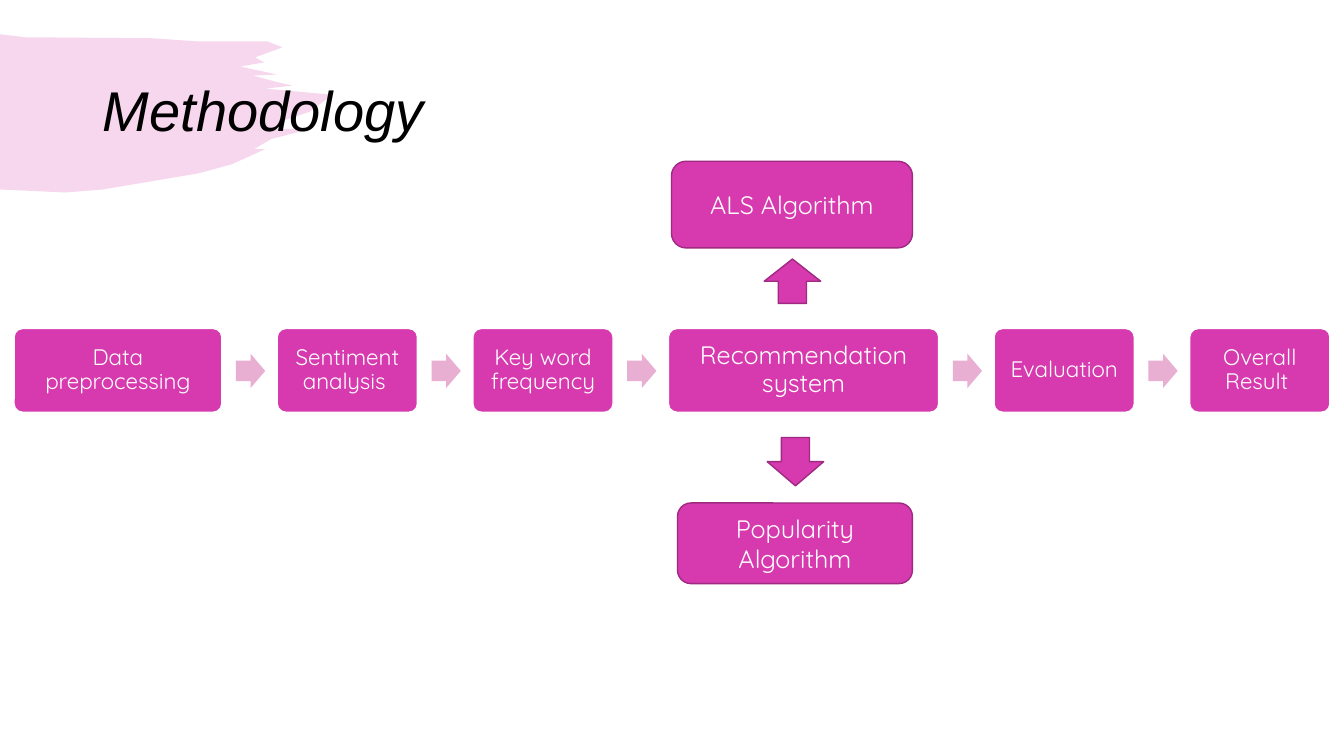
"""Builds the Methodology slide: a process row with two algorithm branches."""
from dataclasses import dataclass
from typing import Optional

from lxml import etree
from pptx import Presentation
from pptx import util as u
from pptx.dml.color import RGBColor
from pptx.enum import shapes, text
from pptx.oxml.ns import qn

PX = 9144
PINK, PALE, EDGE, WHITE, BLACK = "D739AE", "E8AFD3", "9F2A81", "FFFFFF", "000000"
ROW_LEFT, ROW_TOP, ROW_HEIGHT, ROW_GAP = 14, 326, 83, 55
KIND = shapes.MSO_SHAPE


@dataclass
class Step:
    label: str
    width: int = 139
    size: int = 16


@dataclass
class Block:
    kind: int
    left: int
    top: int
    width: int
    height: int
    fill: str = PINK
    line: Optional[str] = EDGE
    label: str = ""
    size: int = 18
    spacing: float = 1.0
    adjust: tuple[float, ...] = ()


STEPS = [
    Step("Data preprocessing", 206),
    Step("Sentiment analysis "),
    Step("Key word frequency"),
    Step("Recommendation system", 268, 18),
    Step("Evaluation"),
    Step("Overall Result "),
]

BRANCHES = [
    Block(KIND.UP_ARROW, 758, 257, 56, 44),
    Block(KIND.DOWN_ARROW, 761, 434, 56, 48),
    Block(KIND.ROUNDED_RECTANGLE, 672, 499, 233, 80, label="Popularity Algorithm"),
    Block(KIND.ROUNDED_RECTANGLE, 666, 160, 239, 86, label="ALS Algorithm"),
]

BRUSH = [
    (0, 34), (25, 37), (151, 38), (194, 41), (265, 41), (280, 47), (253, 57), (262, 62),
    (238, 66), (275, 74), (251, 75), (273, 81), (290, 85), (263, 88), (330, 94), (307, 111),
    (280, 120), (274, 128), (308, 128), (269, 138), (252, 148), (263, 148), (230, 163),
    (197, 172), (102, 188), (65, 191), (0, 188),
]


def rgb(value: str) -> RGBColor:
    """Return a colour from its hex string."""
    return RGBColor.from_string(value)


def paint(sp, fill: str, line: Optional[str]) -> None:
    """Give a shape a flat fill and an optional outline."""
    sp.shadow.inherit = False
    sp.fill.solid()
    sp.fill.fore_color.rgb = rgb(fill)
    if line:
        sp.line.color.rgb = rgb(line)
        sp.line.width = u.Pt(1)
    else:
        sp.line.fill.background()


def write(sp, label: str, font: str, size: int, color: str, spacing: float):
    """Write one paragraph, anchored in the middle, and return it."""
    tf = sp.text_frame
    tf.text = label
    tf.word_wrap = True
    tf.vertical_anchor = text.MSO_ANCHOR.MIDDLE
    p = tf.paragraphs[0]
    p.line_spacing = spacing
    r = p.runs[0]
    r.font.name, r.font.size = font, u.Pt(size)
    r.font.color.rgb = rgb(color)
    return p


def add_block(s, b: Block) -> None:
    """Draw one preset shape with its label."""
    sp = s.shapes.add_shape(b.kind, b.left * PX, b.top * PX, b.width * PX, b.height * PX)
    paint(sp, b.fill, b.line)
    for i, value in enumerate(b.adjust):
        sp.adjustments[i] = value
    if b.label:
        p = write(sp, b.label, "Quicksand", b.size, WHITE, b.spacing)
        p.alignment = text.PP_ALIGN.CENTER
        tf = sp.text_frame
        tf.margin_left = tf.margin_right = tf.margin_top = tf.margin_bottom = 9 * PX


def add_row(s) -> None:
    """Draw the process steps with an arrow in each gap."""
    left = ROW_LEFT
    for i, step in enumerate(STEPS):
        if i:
            add_block(s, Block(KIND.RIGHT_ARROW, left - ROW_GAP + 14, 351, 29, 34,
                               PALE, None, adjust=(0.6, 0.5)))
        add_block(s, Block(KIND.ROUNDED_RECTANGLE, left, ROW_TOP, step.width, ROW_HEIGHT,
                           PINK, WHITE, step.label, step.size, 0.9, (0.1,)))
        left += step.width + ROW_GAP


def add_brush(s):
    """Draw the translucent brush stroke."""
    fb = s.shapes.build_freeform(*BRUSH[0], scale=PX)
    fb.add_line_segments(BRUSH[1:], close=True)
    sp = fb.convert_to_shape()
    paint(sp, PINK, None)
    color = sp._element.spPr.find(qn("a:solidFill"))[0]
    etree.SubElement(color, qn("a:alpha")).set("val", "20000")
    return sp


def add_title(s) -> None:
    """Format the title and set the brush stroke behind it."""
    title = s.shapes.title
    title.left, title.top, title.width, title.height = 92 * PX, 40 * PX, 1150 * PX, 145 * PX
    p = write(title, "Methodology", "Arial", 40, BLACK, 0.9)
    p.alignment = text.PP_ALIGN.LEFT
    p.runs[0].font.italic = True
    title._element.addprevious(add_brush(s)._element)


def main() -> None:
    """Build and save the slide."""
    prs = Presentation()
    prs.slide_width, prs.slide_height = 1333 * PX, 750 * PX
    s = prs.slides.add_slide(prs.slide_layouts[5])
    add_title(s)
    add_row(s)
    for block in BRANCHES:
        add_block(s, block)
    prs.save("out.pptx")


if __name__ == "__main__":
    main()
